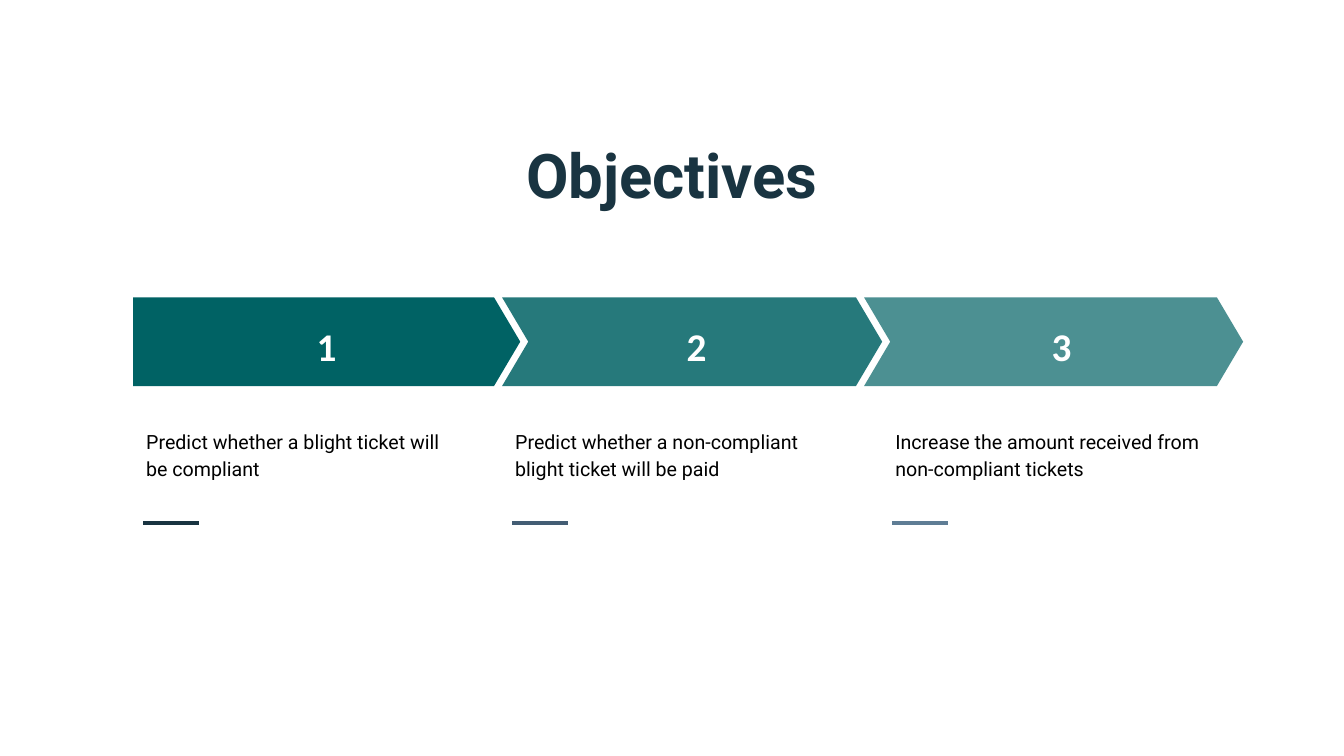
import pptx
import pptx.dml.color
import pptx.enum.shapes
import pptx.enum.text
import pptx.oxml.ns
import pptx.util
from lxml import etree
from pptx.dml.color import RGBColor
from pptx.util import Inches

NAVY = RGBColor(0x19, 0x34, 0x41)
SLATE = RGBColor(0x43, 0x5D, 0x74)
STEEL = RGBColor(0x5F, 0x7D, 0x95)
TEAL = RGBColor(0x00, 0x62, 0x64)
WHITE = RGBColor(0xFF, 0xFF, 0xFF)
BLACK = RGBColor(0x00, 0x00, 0x00)

ALIGN = pptx.enum.text.PP_ALIGN
ANCHOR = pptx.enum.text.MSO_ANCHOR

BAND_TOP, BAND_MIDDLE, BAND_BOTTOM = 2.95, 3.39, 3.83
POINT_DEPTH = 0.26

# arrow left, arrow tip, opacity %, number left, text left, accent, objective
STEPS = [
    (1.32, 5.16, 100, 2.24, 1.32, NAVY,
     "Predict whether a blight ticket will be compliant"),
    (4.98, 8.75, 85, 5.91, 4.98, SLATE,
     "Predict whether a non-compliant blight ticket will be paid"),
    (8.57, 12.33, 70, 9.53, 8.75, STEEL,
     "Increase the amount received from non-compliant tickets"),
]


class ObjectivesSlide:
    heading_font = "Roboto"
    number_font = "Calibri"
    inset = Inches(0.13)
    line_spacing = 1.14

    def __init__(self, presentation):
        self.slide = presentation.slides.add_slide(presentation.slide_layouts[5])

    def set_text(self, holder, text, size, font, color, bold, align, anchor):
        """Fill a text holder and apply the shared frame style."""
        frame = holder.text_frame
        frame.text = text
        frame.word_wrap = True
        frame.auto_size = pptx.enum.text.MSO_AUTO_SIZE.NONE
        frame.vertical_anchor = anchor
        frame.margin_left = frame.margin_right = self.inset
        frame.margin_top = frame.margin_bottom = self.inset
        paragraph = frame.paragraphs[0]
        paragraph.alignment = align
        style = paragraph.runs[0].font
        style.name, style.size, style.bold = font, pptx.util.Pt(size), bold
        style.color.rgb = color
        return paragraph

    def title(self, text):
        heading = self.slide.shapes.title
        heading.left, heading.top = Inches(1.16), Inches(1.3)
        heading.width, heading.height = Inches(11.01), Inches(0.84)
        self.set_text(heading, text, 44, self.heading_font, NAVY, True,
                      ALIGN.CENTER, ANCHOR.MIDDLE)

    def arrow(self, left, tip, opacity, notched):
        shoulder = tip - POINT_DEPTH
        outline = [(left, BAND_BOTTOM), (shoulder, BAND_BOTTOM),
                   (tip, BAND_MIDDLE), (shoulder, BAND_TOP)]
        if notched:
            outline.insert(0, (left + POINT_DEPTH, BAND_MIDDLE))
        builder = self.slide.shapes.build_freeform(Inches(left), Inches(BAND_TOP))
        builder.add_line_segments([(Inches(x), Inches(y)) for x, y in outline])
        band = builder.convert_to_shape()
        band.shadow.inherit = False
        band.line.fill.background()
        band.fill.solid()
        band.fill.fore_color.rgb = TEAL
        if opacity < 100:
            color = band._element.spPr.find(".//" + pptx.oxml.ns.qn("a:srgbClr"))
            alpha = etree.SubElement(color, pptx.oxml.ns.qn("a:alpha"))
            alpha.set("val", str(opacity * 1000))

    def number(self, left, value):
        label = self.slide.shapes.add_textbox(
            Inches(left), Inches(3.07), Inches(2), Inches(0.65))
        paragraph = self.set_text(label, str(value), 28, self.number_font, WHITE,
                                  True, ALIGN.CENTER, ANCHOR.MIDDLE)
        paragraph.line_spacing = self.line_spacing

    def objective(self, left, text):
        description = self.slide.shapes.add_textbox(
            Inches(left), Inches(4.1), Inches(3.43), Inches(1))
        paragraph = self.set_text(description, text, 14, self.heading_font, BLACK,
                                  False, ALIGN.LEFT, ANCHOR.TOP)
        paragraph.line_spacing = self.line_spacing

    def accent(self, left, color):
        y = Inches(5.19)
        dash = self.slide.shapes.add_connector(
            pptx.enum.shapes.MSO_CONNECTOR.STRAIGHT,
            Inches(left), y, Inches(left + 0.55), y)
        dash.line.color.rgb = color
        dash.line.width = pptx.util.Pt(3)
        etree.SubElement(dash._element.spPr, pptx.oxml.ns.qn("a:effectLst"))


def main():
    presentation = pptx.Presentation()
    presentation.slide_width = Inches(13.33)
    presentation.slide_height = Inches(7.5)
    page = ObjectivesSlide(presentation)
    page.title("Objectives")
    for value, step in enumerate(STEPS, start=1):
        left, tip, opacity, number_left, text_left, accent, text = step
        page.arrow(left, tip, opacity, notched=value > 1)
        page.number(number_left, value)
        page.objective(text_left, text)
        page.accent(text_left + 0.1, accent)
    presentation.save("out.pptx")


if __name__ == "__main__":
    main()
